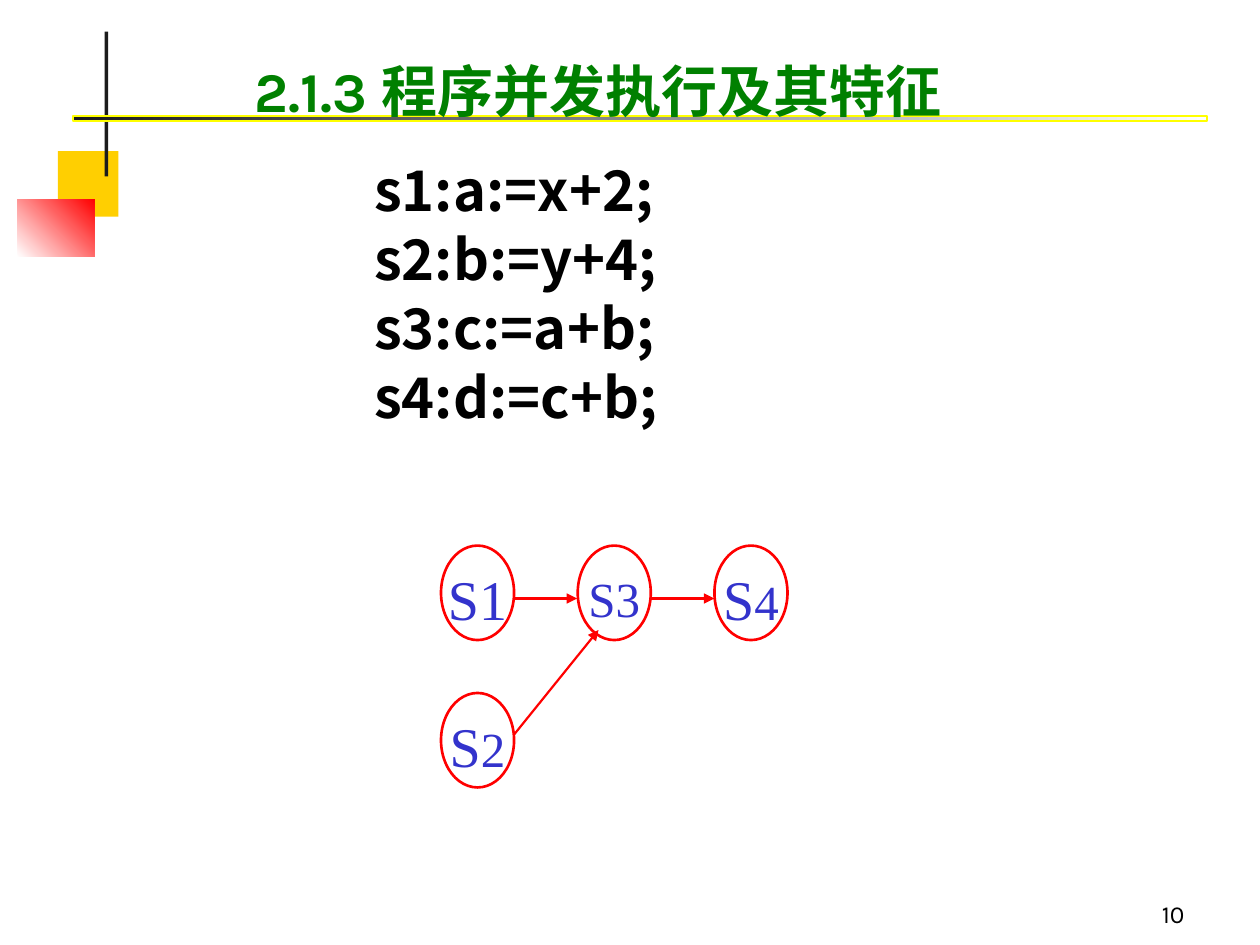
from dataclasses import dataclass

from lxml import etree
from pptx import Presentation
from pptx.dml.color import RGBColor
from pptx.enum.shapes import MSO_CONNECTOR, MSO_SHAPE
from pptx.enum.text import MSO_ANCHOR, MSO_AUTO_SIZE, PP_ALIGN
from pptx.oxml.ns import qn
from pptx.util import Inches, Pt

RECT, OVAL = MSO_SHAPE.RECTANGLE, MSO_SHAPE.OVAL
LINE = MSO_CONNECTOR.STRAIGHT
TOP, MID, BASE = MSO_ANCHOR.TOP, MSO_ANCHOR.MIDDLE, MSO_ANCHOR.BOTTOM
LEFT, MIDST, RIGHT = PP_ALIGN.LEFT, PP_ALIGN.CENTER, PP_ALIGN.RIGHT
FIXED = MSO_AUTO_SIZE.NONE


@dataclass(frozen=True)
class Theme:
    gold: str = "FFCF01"
    red: str = "FF0000"
    dark: str = "1C1C1C"
    white: str = "FFFFFF"
    edge: str = "FFFF00"
    black: str = "000000"
    green: str = "008000"
    blue: str = "3333CC"
    large: int = 32
    mid: int = 28
    small: int = 14
    sans: str = "Karla"
    han: str = "Noto Sans CJK SC"
    serif: str = "Times New Roman"


@dataclass(frozen=True)
class Block:
    box: tuple
    fills: tuple
    angle: int = 0
    edge: str = ""


@dataclass(frozen=True)
class Node:
    col: int
    row: int
    runs: tuple


@dataclass(frozen=True)
class Arrow:
    start: tuple
    end: tuple
    width: float = 1.5


THEME = Theme()
BLOCKS = (
    Block((0.46, 1.2, 0.48, 0.52), (THEME.gold,)),
    Block((0.14, 1.58, 0.61, 0.46), (THEME.white, THEME.red), 45),
    Block((0.83, 0.25, 0.03, 1.15), (THEME.dark,)),
    Block((0.58, 0.92, 9, 0.04), (THEME.dark, THEME.white), 0, THEME.edge),
)
CODE = ("s1:a:=x+2;", "s2:b:=y+4;", "s3:c:=a+b;", "s4:d:=c+b;")
NODES = (
    Node(0, 0, (("S1", THEME.large),)),
    Node(1, 0, (("S3", THEME.mid),)),
    Node(2, 0, (("S", THEME.large), ("4", THEME.mid))),
    Node(0, 1, (("S", THEME.large), ("2", THEME.mid))),
)
ARROWS = (
    Arrow((4.08, 4.75), (4.58, 4.75)),
    Arrow((5.17, 4.75), (5.67, 4.75)),
    Arrow((4.08, 5.83), (4.75, 5), 1.25),
)


def apply(target, values: dict) -> None:
    for name, value in values.items():
        setattr(target, name, value)


def place(shape, box: tuple) -> None:
    names = ("left", "top", "width", "height")
    apply(shape, dict(zip(names, map(Inches, box))))


def write(para, text: str, face: str, size: int, color: str, bold: bool = False) -> None:
    run = para.add_run()
    run.text = text
    apply(run.font, {"name": face, "size": Pt(size), "bold": bold})
    run.font.color.rgb = RGBColor.from_string(color)
    east = etree.SubElement(run.font._element, qn("a:ea"))
    east.set("typeface", THEME.han)


def set_frame(shape, anchor, wrap: bool = True):
    frame = shape.text_frame
    apply(frame, {
        "auto_size": FIXED, "word_wrap": wrap, "vertical_anchor": anchor,
        "margin_left": Inches(0.1), "margin_right": Inches(0.1),
        "margin_top": Inches(0.05), "margin_bottom": Inches(0.05),
    })
    return frame


def draw_block(shapes, block: Block) -> None:
    shape = shapes.add_shape(RECT, *map(Inches, block.box))
    shape.shadow.inherit = False
    if len(block.fills) == 1:
        shape.fill.solid()
        shape.fill.fore_color.rgb = RGBColor.from_string(block.fills[0])
    else:
        shape.fill.gradient()
        shape.fill.gradient_angle = block.angle
        for stop, color in zip(shape.fill.gradient_stops, block.fills):
            stop.color.rgb = RGBColor.from_string(color)
    if block.edge:
        shape.line.color.rgb = RGBColor.from_string(block.edge)
        shape.line.width = Pt(0.75)
    else:
        shape.line.fill.background()


def draw_node(shapes, node: Node) -> None:
    box = (3.5 + 1.085 * node.col, 4.33 + 1.17 * node.row, 0.58, 0.75)
    shape = shapes.add_shape(OVAL, *map(Inches, box))
    shape.shadow.inherit = False
    shape.fill.solid()
    shape.fill.fore_color.rgb = RGBColor.from_string(THEME.white)
    shape.line.color.rgb = RGBColor.from_string(THEME.red)
    shape.line.width = Pt(1.5)
    frame = set_frame(shape, MID, False)
    frame.margin_top = Inches(0.13)
    para = frame.paragraphs[0]
    para.alignment = MIDST
    for text, size in node.runs:
        write(para, text, THEME.serif, size, THEME.blue)


def draw_arrow(shapes, arrow: Arrow) -> None:
    line = shapes.add_connector(LINE, *map(Inches, arrow.start + arrow.end))
    line.line.color.rgb = RGBColor.from_string(THEME.red)
    line.line.width = Pt(arrow.width)
    tail = etree.SubElement(line.line._get_or_add_ln(), qn("a:tailEnd"))
    tail.set("type", "triangle")
    etree.SubElement(line.element.spPr, qn("a:effectLst"))


def fill_title(title) -> None:
    place(title, (1.92, 0.33, 6.58, 0.7))
    para = set_frame(title, BASE).paragraphs[0]
    para.alignment = LEFT
    write(para, "2.1.3 程序并发执行及其特征", THEME.sans, THEME.large, THEME.green, True)


def fill_body(body) -> None:
    place(body, (2.67, 1.25, 4.25, 2.67))
    frame = set_frame(body, TOP)
    for index, text in enumerate(CODE):
        para = frame.add_paragraph() if index else frame.paragraphs[0]
        props = para._p.get_or_add_pPr()
        props.set("marL", str(Inches(0.2)))
        props.set("indent", "0")
        etree.SubElement(props, qn("a:buNone"))
        apply(para, {"alignment": LEFT, "line_spacing": 0.88,
                     "space_before": Pt(5.75 if index else 0)})
        write(para, text, THEME.han, THEME.large, THEME.black, True)


def main() -> None:
    deck = Presentation()
    apply(deck, {"slide_width": Inches(10), "slide_height": Inches(7.5)})
    slide = deck.slides.add_slide(deck.slide_layouts[1])
    shapes = slide.shapes
    title, body = shapes.title, slide.placeholders[1]
    for block in BLOCKS:
        draw_block(shapes, block)
    for holder in (body, title):
        shapes.element.append(holder.element)
    fill_body(body)
    fill_title(title)
    page = shapes.add_textbox(*map(Inches, (7.42, 6.92, 2.08, 0.5)))
    para = set_frame(page, BASE).paragraphs[0]
    para.alignment = RIGHT
    write(para, "10", THEME.sans, THEME.small, THEME.black)
    for node in NODES:
        draw_node(shapes, node)
    for arrow in ARROWS:
        draw_arrow(shapes, arrow)
    deck.save("out.pptx")


if __name__ == "__main__":
    main()
